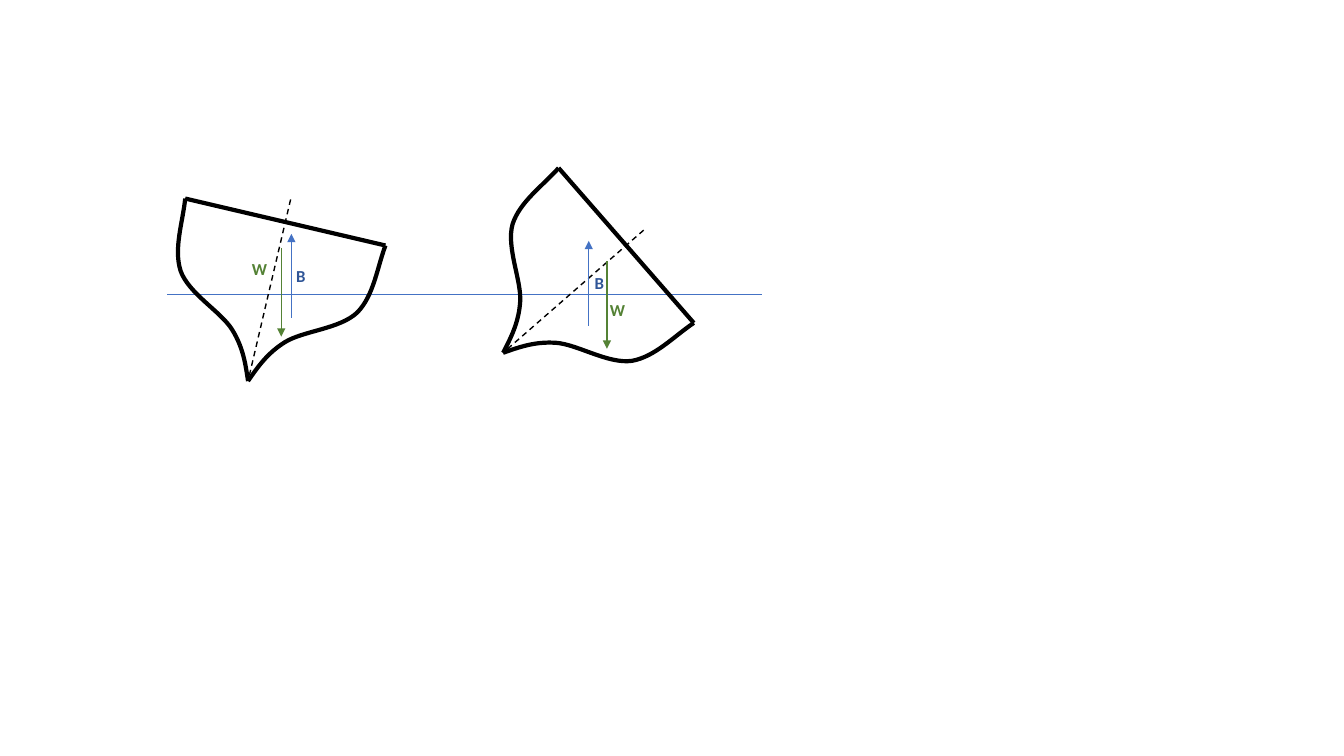
"""Heeling hulls: weight (W) and buoyancy (B) at a small and a large angle."""
import math
from dataclasses import dataclass

from pptx import Presentation
from pptx import util as u
from pptx.dml.color import RGBColor
from pptx.enum import dml, shapes as sh, text
from pptx.oxml.ns import qn

Point = tuple[float, float]


@dataclass(frozen=True)
class Theme:
    """Colours, type and line weights of the slide."""
    water: RGBColor = RGBColor(0x44, 0x72, 0xC4)
    buoyancy: RGBColor = RGBColor(0x2F, 0x55, 0x97)
    weight: RGBColor = RGBColor(0x54, 0x82, 0x35)
    hull: RGBColor = RGBColor(0, 0, 0)
    font: str = "Calibri"
    label_size: float = 12
    thin: float = 0.5
    line: float = 1
    thick: float = 3


@dataclass(frozen=True)
class Hull:
    """A hull standing on its keel point, heeled clockwise in degrees."""
    keel: Point
    heel: float

    def place(self, x: float, y: float) -> Point:
        """Turn an upright point, measured from the keel, into slide inches."""
        a = math.radians(self.heel)
        return (self.keel[0] + x * math.cos(a) - y * math.sin(a),
                self.keel[1] + x * math.sin(a) + y * math.cos(a))


@dataclass(frozen=True)
class Force:
    """A vertical force arrow with its letter."""
    letter: str
    x: float
    tail: float
    tip: float
    label: Point
    line_color: RGBColor
    text_color: RGBColor
    label_height: float


T = Theme()
BEAM, DEPTH, MAST = 1.02, 1.62, 1.85  # half beam, hull depth, centre line length
# Port side of the upright hull, deck to keel: Bezier points, three per curve
PROFILE = [(-BEAM, -DEPTH), (-0.99, -1.38), (-1.02, -1.11), (-0.9, -0.91),
           (-0.77, -0.71), (-0.42, -0.61), (-0.27, -0.46),
           (-0.12, -0.31), (-0.06, -0.15), (0, 0)]


def weight(x: float, tail: float, tip: float, label: Point) -> Force:
    """Describe a weight arrow."""
    return Force("W", x, tail, tip, label, T.weight, T.weight, 0.22)


def buoyancy(x: float, tail: float, tip: float, label: Point) -> Force:
    """Describe a buoyancy arrow."""
    return Force("B", x, tail, tip, label, T.water, T.buoyancy, 0.3)


HULLS = [Hull((2.46, 3.78), 13.2), Hull((4.99, 3.5), 48.9)]
FORCES = [weight(2.79, 2.46, 3.34, (2.4, 2.52)),
          buoyancy(2.89, 3.15, 2.32, (2.84, 2.59)),
          weight(6.02, 2.59, 3.46, (5.95, 2.92)),
          buoyancy(5.84, 3.23, 2.39, (5.8, 2.66))]


def add_line(shapes, start: Point, end: Point, color: RGBColor, width: float,
             dashed: bool = False, arrow: bool = False) -> None:
    """Draw a straight line, optionally dashed or with an arrowhead at its end."""
    c = shapes.add_connector(sh.MSO_CONNECTOR.STRAIGHT,
                             *(u.Inches(v) for v in (*start, *end)))
    c.line.color.rgb = color
    c.line.width = u.Pt(width)
    if dashed:
        c.line.dash_style = dml.MSO_LINE.DASH
    if arrow:
        ln = c.line._get_or_add_ln()
        ln.append(ln.makeelement(qn("a:tailEnd"), {"type": "triangle"}))
    sp_pr = c._element.spPr
    sp_pr.append(sp_pr.makeelement(qn("a:effectLst"), {}))


def curve_segments(sp) -> None:
    """Turn each three straight segments of a freeform into one cubic curve."""
    outline = sp._element.spPr.find(".//" + qn("a:path"))
    segments = outline.findall(qn("a:lnTo"))
    for i in range(0, len(segments), 3):
        curve = outline.makeelement(qn("a:cubicBezTo"), {})
        segments[i].addprevious(curve)
        for segment in segments[i:i + 3]:
            curve.append(segment[0])
            outline.remove(segment)


def add_side(shapes, hull: Hull, side: int) -> None:
    """Draw one side of a hull: 1 for port, -1 for its mirror."""
    mid_x, mid_y = -side * BEAM / 2, -DEPTH / 2
    cx, cy = hull.place(mid_x, mid_y)
    pts = [(u.Inches(cx + side * x - mid_x), u.Inches(cy + y - mid_y))
           for x, y in PROFILE]
    fb = shapes.build_freeform(*pts[0], scale=1.0)
    fb.add_line_segments(pts[1:], close=False)
    sp = fb.convert_to_shape()
    curve_segments(sp)
    sp.rotation = hull.heel
    sp.shadow.inherit = False
    sp.fill.background()
    sp.line.color.rgb = T.hull
    sp.line.width = u.Pt(T.thick)


def add_hull(shapes, hull: Hull) -> None:
    """Draw a hull as a group: centre line, two sides and deck."""
    g = shapes.add_group_shape().shapes
    add_line(g, hull.place(0, -MAST), hull.place(0, 0), T.hull, T.line, dashed=True)
    add_side(g, hull, 1)
    add_line(g, hull.place(-BEAM, -DEPTH), hull.place(BEAM, -DEPTH), T.hull, T.thick)
    add_side(g, hull, -1)


def add_force(shapes, force: Force) -> None:
    """Draw a force as a group: arrow and letter."""
    g = shapes.add_group_shape().shapes
    add_line(g, (force.x, force.tail), (force.x, force.tip),
             force.line_color, T.line, arrow=True)
    box = (*force.label, 0.34, force.label_height)
    tf = g.add_textbox(*(u.Inches(v) for v in box)).text_frame
    for name, value in {"word_wrap": True,
                        "vertical_anchor": text.MSO_ANCHOR.TOP}.items():
        setattr(tf, name, value)
    r = tf.paragraphs[0].add_run()
    r.text = force.letter
    for name, value in {"name": T.font, "size": u.Pt(T.label_size),
                        "bold": True}.items():
        setattr(r.font, name, value)
    r.font.color.rgb = force.text_color


def main() -> None:
    """Build and save the slide."""
    prs = Presentation()
    prs.slide_width, prs.slide_height = u.Inches(13.33), u.Inches(7.5)
    s = prs.slides.add_slide(prs.slide_layouts[6])
    add_line(s.shapes, (1.66, 2.92), (7.56, 2.92), T.water, T.thin)
    for force in FORCES[:2]:
        add_force(s.shapes, force)
    for hull in HULLS:
        add_hull(s.shapes, hull)
    for force in FORCES[2:]:
        add_force(s.shapes, force)
    prs.save("out.pptx")


main()
